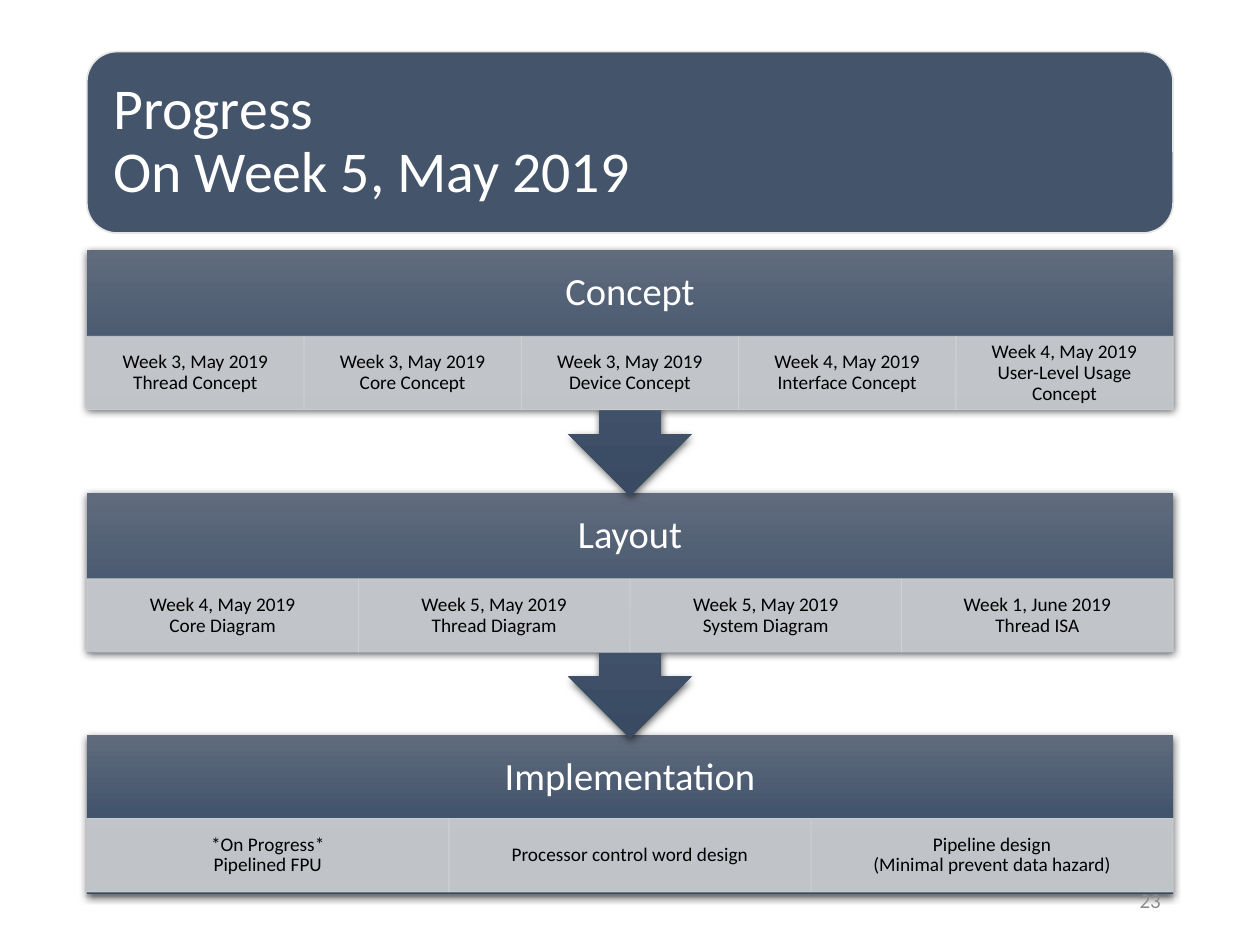
from lxml import etree
from pptx import Presentation
from pptx.dml.color import RGBColor
from pptx.enum.shapes import MSO_SHAPE
from pptx.enum.text import MSO_ANCHOR, PP_ALIGN
from pptx.oxml import parse_xml
from pptx.oxml.ns import nsdecls, qn
from pptx.util import Cm, Pt

RECTANGLE = MSO_SHAPE.RECTANGLE
ROUNDED = MSO_SHAPE.ROUNDED_RECTANGLE
CALLOUT = MSO_SHAPE.DOWN_ARROW_CALLOUT
MIDDLE = MSO_ANCHOR.MIDDLE
LEFT, CENTER, RIGHT = PP_ALIGN.LEFT, PP_ALIGN.CENTER, PP_ALIGN.RIGHT

FONT = "Calibri"
WHITE = RGBColor(0xFF, 0xFF, 0xFF)
BLACK = RGBColor(0x00, 0x00, 0x00)
SLATE = RGBColor(0x44, 0x54, 0x6A)
SILVER = RGBColor(0xE7, 0xE6, 0xE6)
STEP_GRAY = RGBColor(0xCF, 0xD1, 0xD4)
NUMBER_GRAY = RGBColor(0x8C, 0x8C, 0x8C)
GRADIENT = ((0, RGBColor(0x60, 0x6B, 0x7D)),
            (50, RGBColor(0x42, 0x54, 0x6C)),
            (100, RGBColor(0x39, 0x4A, 0x62)))

# Lengths in centimetres
MARGIN, CONTENT_WIDTH = 1.75, 21.9
FIRST_STAGE_TOP, STAGE_PITCH = 5.04, 4.89
CALLOUT_HEIGHT, LAST_HEIGHT = 4.95, 3.2
STEP_HEIGHT = 1.48

# Name, offset of the step row, steps
STAGES = [
    ("Concept", 1.74, ["Week 3, May 2019\nThread Concept",
                       "Week 3, May 2019\nCore Concept",
                       "Week 3, May 2019\nDevice Concept",
                       "Week 4, May 2019\nInterface Concept",
                       "Week 4, May 2019\nUser-Level Usage Concept"]),
    ("Layout", 1.74, ["Week 4, May 2019\nCore Diagram",
                      "Week 5, May 2019\nThread Diagram",
                      "Week 5, May 2019\nSystem Diagram",
                      "Week 1, June 2019\nThread ISA"]),
    ("Implementation", 1.68, ["*On Progress*\nPipelined FPU",
                              "Processor control word design",
                              "Pipeline design\n(Minimal prevent data hazard)"]),
]


def add_box(slide, kind, left, top, width, height):
    shape = slide.shapes.add_shape(kind, Cm(left), Cm(top), Cm(width), Cm(height))
    return shape


def set_text(shape, text, size, color, alignment, insets, line_spacing=0.9):
    """Write one paragraph; insets are left, top, right, bottom in centimetres."""
    frame = shape.text_frame
    frame.word_wrap = True
    frame.vertical_anchor = MIDDLE
    (frame.margin_left, frame.margin_top,
     frame.margin_right, frame.margin_bottom) = map(Cm, insets)
    paragraph = frame.paragraphs[0]
    paragraph.text = text
    paragraph.alignment = alignment
    paragraph.line_spacing = line_spacing
    paragraph.font.name = FONT
    paragraph.font.size = Pt(size)
    paragraph.font.color.rgb = color


def set_fill_and_line(shape, fill, line, line_width):
    shape.shadow.inherit = False
    shape.fill.solid()
    shape.fill.fore_color.rgb = fill
    shape.line.color.rgb = line
    shape.line.width = Pt(line_width)


def set_gradient_and_shadow(shape):
    properties = shape._element.spPr
    stops = "".join(f'<a:gs pos="{position * 1000}"><a:srgbClr val="{color}"/></a:gs>'
                    for position, color in GRADIENT)
    properties.append(parse_xml(
        f'<a:gradFill {nsdecls("a")} rotWithShape="1"><a:gsLst>{stops}</a:gsLst>'
        '<a:lin ang="5400000" scaled="0"/></a:gradFill>'))
    shape.line.fill.background()
    properties.append(parse_xml(
        f'<a:effectLst {nsdecls("a")}><a:outerShdw blurRad="{Pt(4.5)}" dist="{Pt(1.5)}" '
        'dir="5400000" algn="ctr" rotWithShape="0"><a:srgbClr val="000000">'
        '<a:alpha val="63000"/></a:srgbClr></a:outerShdw></a:effectLst>'))


def add_title(slide):
    title = add_box(slide, ROUNDED, MARGIN, 1.04, CONTENT_WIDTH, 3.66)
    set_fill_and_line(title, SLATE, SILVER, 1)
    set_text(title, "Progress\nOn Week 5, May 2019", 33, WHITE, LEFT, [0.36] * 4)


def add_step(slide, text, left, top, width):
    step = add_box(slide, RECTANGLE, left, top, width, STEP_HEIGHT)
    set_fill_and_line(step, STEP_GRAY, STEP_GRAY, 0.5)
    for color in step._element.spPr.iter(qn("a:srgbClr")):
        etree.SubElement(color, qn("a:alpha")).set("val", "90000")
    set_text(step, text, 11, BLACK, CENTER, (0.23, 0.05, 0.23, 0.05))


def add_stage(slide, index):
    name, step_offset, steps = STAGES[index]
    is_last = index == len(STAGES) - 1
    kind, height = (RECTANGLE, LAST_HEIGHT) if is_last else (CALLOUT, CALLOUT_HEIGHT)
    top = FIRST_STAGE_TOP + index * STAGE_PITCH
    stage = add_box(slide, kind, MARGIN, top, CONTENT_WIDTH, height)
    set_gradient_and_shadow(stage)
    # The bottom inset keeps the name above the row of steps
    set_text(stage, name, 22, WHITE, CENTER, (0.43, 0.43, 0.43, STEP_HEIGHT + 0.43))
    step_width = CONTENT_WIDTH / len(steps)
    for column, text in enumerate(steps):
        add_step(slide, text, MARGIN + column * step_width, top + step_offset, step_width)


def add_slide_number(slide):
    number = slide.shapes.add_textbox(Cm(17.94), Cm(17.65), Cm(5.71), Cm(1.01))
    set_text(number, "23", 12, NUMBER_GRAY, RIGHT, (0.25, 0.13, 0.25, 0.13), 1.0)


def main():
    presentation = Presentation()
    presentation.slide_width = Cm(25.4)
    presentation.slide_height = Cm(19.05)
    slide = presentation.slides.add_slide(presentation.slide_layouts[6])
    add_title(slide)
    # Bottom stage first, so that each arrow lies over the stage it points to
    for index in reversed(range(len(STAGES))):
        add_stage(slide, index)
    add_slide_number(slide)
    presentation.save("out.pptx")


if __name__ == "__main__":
    main()
